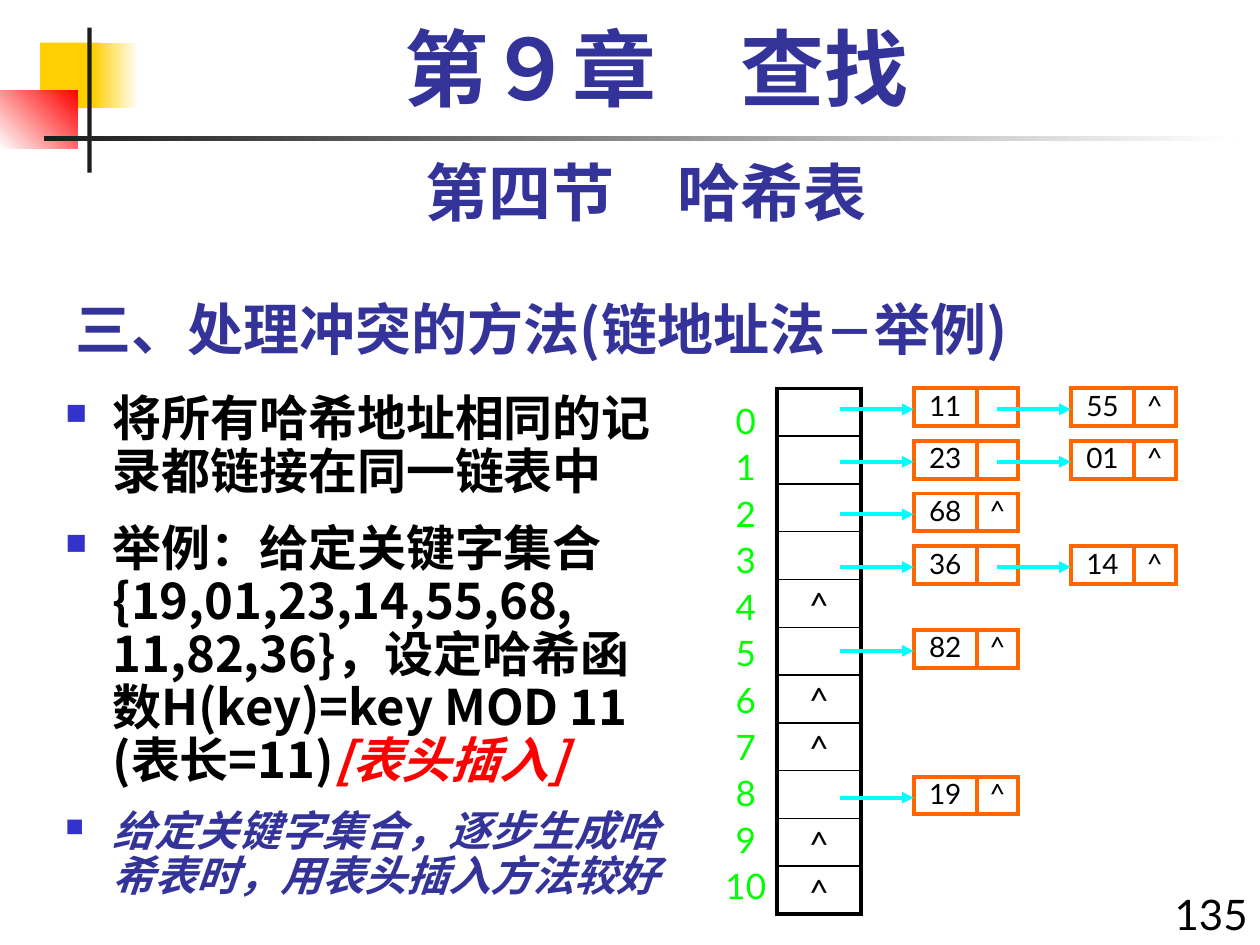
from lxml import etree
from pptx import Presentation
from pptx import util as u
from pptx.dml.color import RGBColor
from pptx.enum import shapes, text
from pptx.oxml import parse_xml
from pptx.oxml.ns import nsdecls, qn

COLORS = {
    "yellow": "FFCF01", "red": "FF0000", "white": "FFFFFF", "dark": "1C1C1C",
    "navy": "333399", "bullet": "3333CC", "black": "000000", "green": "00FF00",
    "orange": "FF6600", "cyan": "00FFFF",
}
CJK = "Noto Sans CJK SC"
LEFT, CENTER, RIGHT = text.PP_ALIGN.LEFT, text.PP_ALIGN.CENTER, text.PP_ALIGN.RIGHT


def rgb(name):
    return RGBColor.from_string(COLORS[name])


class Deck:
    line_width = 2.25

    def __init__(self, prs):
        self.s = prs.slides.add_slide(prs.slide_layouts[6])

    def style(self, r, size, color="black", font="Lato", bold=False, italic=False):
        f = r.font
        f.name, f.size, f.bold, f.italic = font, u.Pt(size), bold, italic
        f.color.rgb = rgb(color)
        f._element.find(qn("a:latin")).addnext(
            parse_xml(f'<a:ea {nsdecls("a")} typeface="{CJK}"/>'))

    def rect(self, x, y, w, h, fill=None, fade=None, angle=0, line=None):
        """Rectangle; fade is the end colour of a gradient that starts at fill."""
        sp = self.s.shapes.add_shape(shapes.MSO_SHAPE.RECTANGLE,
                                     u.Cm(x), u.Cm(y), u.Cm(w), u.Cm(h))
        sp.shadow.inherit = False
        if fade:
            sp.fill.gradient()
            sp.fill.gradient_angle = angle
            for stop, name in zip(sp.fill.gradient_stops, (fill, fade)):
                stop.color.rgb = rgb(name)
        elif fill:
            sp.fill.solid()
            sp.fill.fore_color.rgb = rgb(fill)
        else:
            sp.fill.background()
        if line:
            sp.line.color.rgb = rgb(line)
            sp.line.width = u.Pt(self.line_width)
            etree.SubElement(sp.line._get_or_add_ln(), qn("a:miter"), lim="800000")
        else:
            sp.line.fill.background()
        return sp

    def textbox(self, x, y, w, h, anchor=text.MSO_ANCHOR.TOP):
        tf = self.s.shapes.add_textbox(u.Cm(x), u.Cm(y), u.Cm(w), u.Cm(h)).text_frame
        tf.word_wrap = True
        tf.vertical_anchor = anchor
        return tf

    def paragraph(self, tf, runs, first=True, align=LEFT, before=0, spacing=None):
        """Add a paragraph; runs is a list of (text, style) pairs."""
        p = tf.paragraphs[0] if first else tf.add_paragraph()
        p.alignment = align
        if spacing:
            p.line_spacing = spacing
        if not first:
            p.space_before = u.Pt(before)
        for content, style in runs:
            r = p.add_run()
            r.text = content
            self.style(r, **style)
        return p

    def bullet(self, p, indent=0.95):
        pPr = p._p.get_or_add_pPr()
        pPr.set("marL", str(u.Cm(indent)))
        pPr.set("indent", str(-u.Cm(indent)))
        color = etree.SubElement(pPr, qn("a:buClr"))
        etree.SubElement(color, qn("a:srgbClr"), val=COLORS["bullet"])
        etree.SubElement(pPr, qn("a:buSzPct"), val="60000")
        etree.SubElement(pPr, qn("a:buFont"), typeface="Wingdings",
                         pitchFamily="2", charset="2")
        etree.SubElement(pPr, qn("a:buChar"), char="n")

    def arrow(self, x1, x2, y):
        c = self.s.shapes.add_connector(shapes.MSO_CONNECTOR.STRAIGHT,
                                        u.Cm(x1), u.Cm(y), u.Cm(x2), u.Cm(y))
        c.line.color.rgb = rgb("cyan")
        c.line.width = u.Pt(self.line_width)
        etree.SubElement(c.line._get_or_add_ln(), qn("a:tailEnd"), type="triangle")
        etree.SubElement(c._element.spPr, qn("a:effectLst"))

    def box(self, x, y, w, h, label):
        """Orange list-node field with an optional label."""
        tf = self.rect(x, y, w, h, line="orange").text_frame
        tf.margin_left = tf.margin_right = tf.margin_top = tf.margin_bottom = 0
        tf.vertical_anchor = text.MSO_ANCHOR.TOP
        if label:
            self.paragraph(tf, [(label, dict(size=16))], align=CENTER)

    def borders(self, cell, widths):
        tcPr = cell._tc.get_or_add_tcPr()
        for i, (side, width) in enumerate(zip("LRTB", widths)):
            tcPr.insert(i, parse_xml(
                f'<a:ln{side} {nsdecls("a")} w="{u.Pt(width)}"><a:solidFill>'
                f'<a:srgbClr val="{COLORS["black"]}"/></a:solidFill></a:ln{side}>'))

    def column(self, x, y, w, h, values):
        """One-column table framed by thick lines."""
        n = len(values)
        tbl = self.s.shapes.add_table(n, 1, u.Cm(x), u.Cm(y), u.Cm(w), u.Cm(h)).table
        tbl.first_row = tbl.horz_banding = False
        thick = self.line_width
        for i, value in enumerate(values):
            cell = tbl.cell(i, 0)
            cell.margin_top = cell.margin_bottom = 0
            cell.fill.solid()
            cell.fill.fore_color.rgb = rgb("white")
            self.borders(cell, (thick, thick, 1 if i else thick,
                                thick if i == n - 1 else 1))
            if value:
                self.paragraph(cell.text_frame, [(value, dict(size=20))],
                               align=CENTER, spacing=1.1)


def draw_frame(d):
    d.rect(0.81, 0.86, 1.22, 1.32, "yellow")
    d.rect(1.88, 0.86, 0.91, 1.32, "yellow", "white")
    d.rect(0, 1.83, 1.57, 1.17, "white", "red", 45)
    d.rect(1.76, 0.56, 0.09, 2.92, "dark")
    d.rect(0.89, 2.75, 24, 0.09, "dark", "white")


def draw_text(d):
    heading = dict(color="navy", bold=True)
    tf = d.textbox(1.27, 5.51, 23.5, 1.9, text.MSO_ANCHOR.BOTTOM)
    d.paragraph(tf, [(t, dict(heading, size=size, font=CJK)) for t, size in (
        ("三、处理冲突的方法(链地址法", 32), ("－", 28), ("举例)", 32))])
    d.paragraph(d.textbox(22.86, 17.78, 2.54, 1.27),
                [("135", dict(size=24))], align=RIGHT)
    d.paragraph(d.textbox(1.27, 2.97, 23.5, 1.78),
                [("第四节　哈希表", dict(heading, size=36))], align=CENTER)
    d.paragraph(d.textbox(1.7, 0.43, 23.06, 2.11),
                [("第９章　查找", dict(heading, size=48, font="Times New Roman"))],
                align=CENTER, spacing=0.9)

    body = dict(size=28, font=CJK, bold=True)
    points = [
        [("将所有哈希地址相同的记录都链接在同一链表中", body)],
        [("举例：给定关键字集合{19,01,23,14,55,68, 11,82,36}，"
          "设定哈希函数H(key)=key MOD 11 (表长=11)", body),
         ("[表头插入]", dict(body, color="red", italic=True))],
        [("给定关键字集合，逐步生成哈希表时，用表头插入方法较好",
          dict(body, size=24, color="navy", italic=True))],
    ]
    tf = d.textbox(1.07, 7.82, 12.7, 11.23)
    for i, runs in enumerate(points):
        p = d.paragraph(tf, runs, i == 0, before=runs[0][1]["size"] / 2, spacing=0.9)
        d.bullet(p)


def draw_hash_table(d):
    chains = {0: ["11", "55"], 1: ["23", "01"], 2: ["68"], 3: ["36", "14"],
              5: ["82"], 8: ["19"]}
    size, top = 11, 7.83
    d.column(15.66, top, 1.7, 10.6, ["" if i in chains else "^" for i in range(size)])
    tf = d.textbox(14.3, 7.92, 1.47, 10.67)
    for i in range(size):
        d.paragraph(tf, [(str(i), dict(size=20, color="green"))], i == 0,
                    align=CENTER, before=2.6)

    key_w, link_w, node_h = 1.27, 0.84, 0.76
    first_x, step_x, arrow_w = 18.42, 3.17, 1.49
    node_y = {i: top + 1.06 * i for i in range(4)} | {5: 12.7, 8: 15.66}
    arrows = []
    for slot, keys in chains.items():
        y = node_y[slot]
        for k, key in enumerate(keys):
            x = first_x + k * step_x
            d.box(x, y, key_w, node_h, key)
            d.box(x + key_w, y, link_w, node_h, "^" if key == keys[-1] else "")
            arrows.append((x - arrow_w, x, y + 0.42))
    for ends in arrows:
        d.arrow(*ends)


def main():
    prs = Presentation()
    prs.slide_width, prs.slide_height = u.Cm(25.4), u.Cm(19.05)
    d = Deck(prs)
    draw_frame(d)
    draw_text(d)
    draw_hash_table(d)
    prs.save("out.pptx")


if __name__ == "__main__":
    main()
